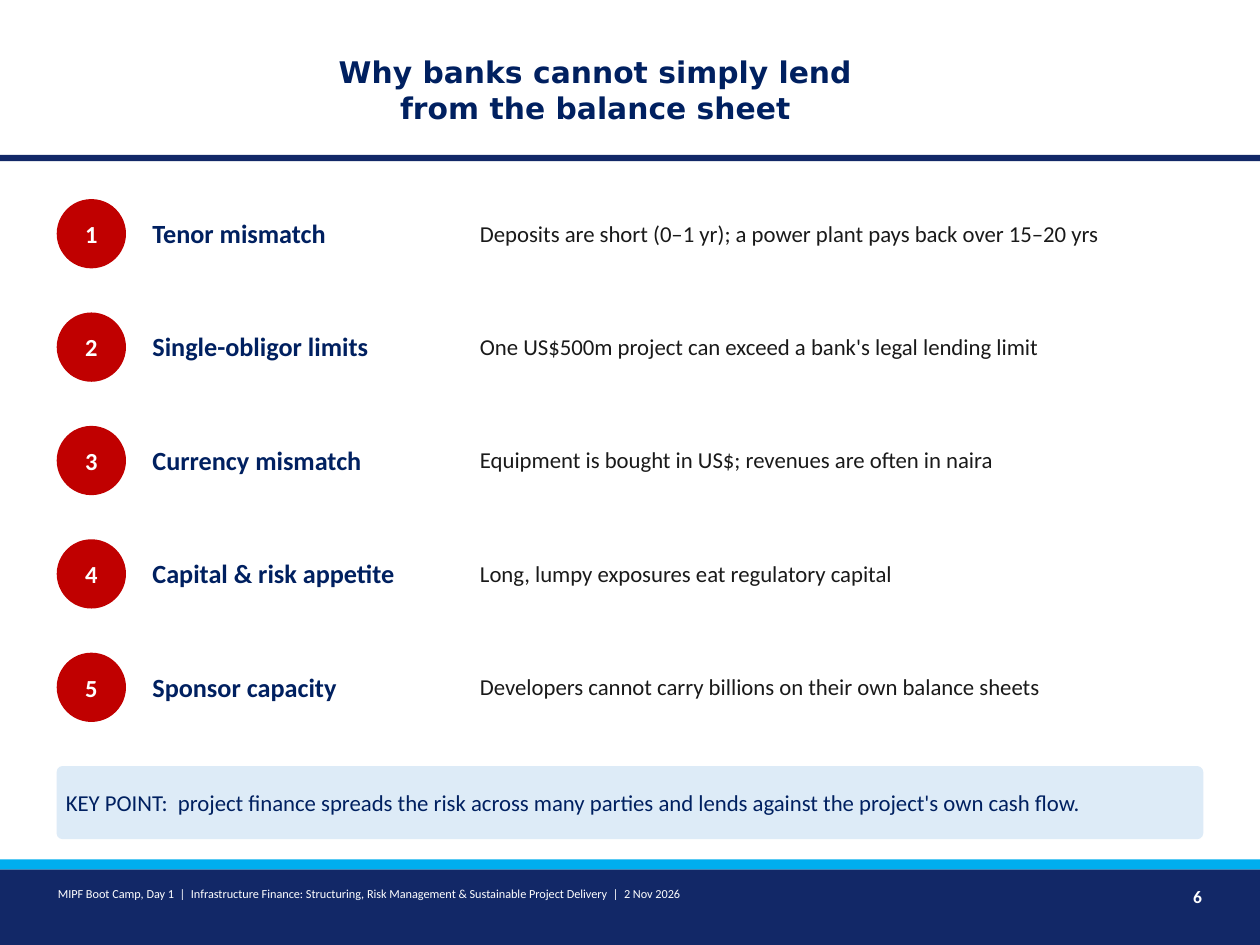
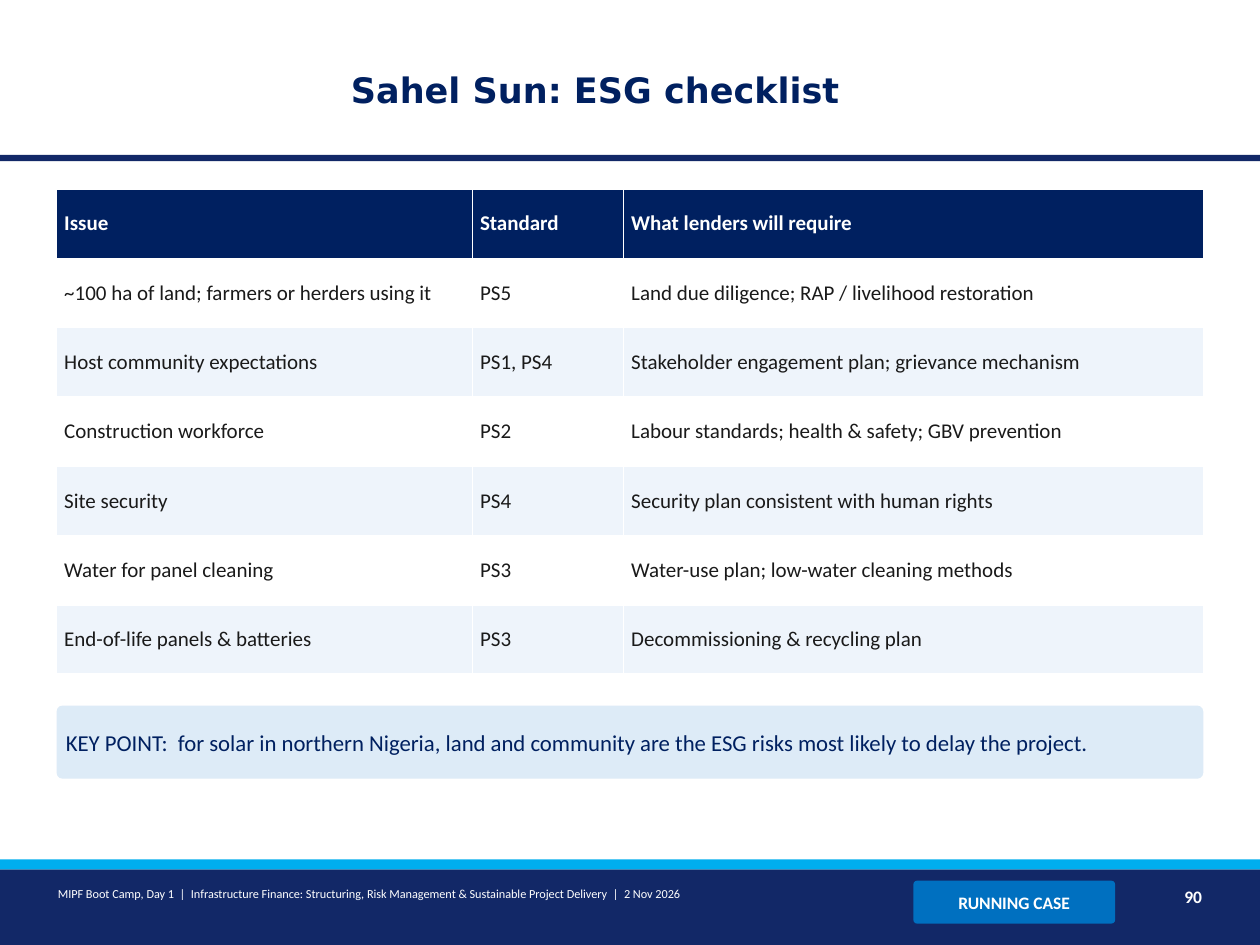
"""Builds two slides of a project finance boot camp deck."""
from pptx import Presentation
from pptx.dml.color import RGBColor
from pptx.enum.shapes import MSO_SHAPE
from pptx.enum.text import MSO_ANCHOR, PP_ALIGN
from pptx.util import Emu, Pt

RECTANGLE, ROUNDED, OVAL = MSO_SHAPE.RECTANGLE, MSO_SHAPE.ROUNDED_RECTANGLE, MSO_SHAPE.OVAL
TOP, MIDDLE = MSO_ANCHOR.TOP, MSO_ANCHOR.MIDDLE
LEFT, CENTER, RIGHT = PP_ALIGN.LEFT, PP_ALIGN.CENTER, PP_ALIGN.RIGHT

NAVY = RGBColor(0x00, 0x20, 0x60)
BAND_NAVY = RGBColor(0x12, 0x28, 0x67)
CYAN = RGBColor(0x00, 0xAE, 0xEF)
BLUE = RGBColor(0x00, 0x70, 0xC0)
RED = RGBColor(0xC0, 0x00, 0x00)
PALE_BLUE = RGBColor(0xDD, 0xEB, 0xF7)
ROW_TINT = RGBColor(0xEE, 0xF4, 0xFB)
INK = RGBColor(0x1A, 0x1A, 0x1A)
WHITE = RGBColor(0xFF, 0xFF, 0xFF)

BODY_FONT, TITLE_FONT = "Calibri", "DejaVu Sans"
EMU_PER_PX = 9144
SLIDE_WIDTH, SLIDE_HEIGHT = 1000, 750
MARGIN, CONTENT_WIDTH = 45, 910
FOOTER = ["MIPF Boot Camp, Day 1", "|",
          "Infrastructure Finance: Structuring, Risk Management & Sustainable Project Delivery",
          "|", "2 Nov 2026"]

REASONS = [
    ("Tenor mismatch", "Deposits are short (0–1 yr); a power plant pays back over 15–20 yrs"),
    ("Single-obligor limits", "One US$500m project can exceed a bank's legal lending limit"),
    ("Currency mismatch", "Equipment is bought in US$; revenues are often in naira"),
    ("Capital & risk appetite", "Long, lumpy exposures eat regulatory capital"),
    ("Sponsor capacity", "Developers cannot carry billions on their own balance sheets"),
]
CHECKLIST = [
    ("Issue", "Standard", "What lenders will require"),
    ("~100 ha of land; farmers or herders using it", "PS5",
     "Land due diligence; RAP / livelihood restoration"),
    ("Host community expectations", "PS1, PS4", "Stakeholder engagement plan; grievance mechanism"),
    ("Construction workforce", "PS2", "Labour standards; health & safety; GBV prevention"),
    ("Site security", "PS4", "Security plan consistent with human rights"),
    ("Water for panel cleaning", "PS3", "Water-use plan; low-water cleaning methods"),
    ("End-of-life panels & batteries", "PS3", "Decommissioning & recycling plan"),
]


def px(length):
    """Convert px to EMU."""
    return Emu(length * EMU_PER_PX)


class Deck:
    """Holds the shared style and the current slide."""

    def __init__(self):
        """Start an empty presentation."""
        self.presentation = Presentation()
        self.presentation.slide_width = px(SLIDE_WIDTH)
        self.presentation.slide_height = px(SLIDE_HEIGHT)
        self.slide = None

    def add_runs(self, frame, parts, size, color, bold=False, align=LEFT, font=BODY_FONT):
        """Add the parts as runs, with a widened space between them."""
        paragraph = frame.paragraphs[0]
        paragraph.alignment = align
        for index, part in enumerate(parts):
            for text in ([" ", part] if index else [part]):
                run = paragraph.add_run()
                run.text = text
                run.font.name = font
                run.font.size = Pt(size)
                run.font.bold = bold
                run.font.color.rgb = color
                if text == " ":
                    run._r.get_or_add_rPr().set("spc", str(size * 23))

    def inset(self, holder):
        """Apply the narrow inner margins to a text frame or cell."""
        holder.margin_left = holder.margin_right = px(6)
        holder.margin_top = holder.margin_bottom = px(3)

    def text(self, box, parts, size, color, anchor=MIDDLE, **style):
        """Add a wrapped text box."""
        frame = self.slide.shapes.add_textbox(*map(px, box)).text_frame
        frame.word_wrap = True
        frame.vertical_anchor = anchor
        self.inset(frame)
        self.add_runs(frame, parts, size, color, **style)

    def shape(self, kind, box, fill, parts=(), size=10, color=WHITE, **style):
        """Add a filled preset shape, with text if there is any."""
        shape = self.slide.shapes.add_shape(kind, *map(px, box))
        shape.shadow.inherit = False
        shape.fill.solid()
        shape.fill.fore_color.rgb = fill
        shape.line.fill.background()
        if kind == ROUNDED:
            shape.adjustments[0] = 0.08
        if parts:
            frame = shape.text_frame
            frame.word_wrap = True
            frame.vertical_anchor = MIDDLE
            self.inset(frame)
            self.add_runs(frame, parts, size, color, **style)

    def new_slide(self, title, title_size, number):
        """Add a slide with its title, bands and footer."""
        self.slide = self.presentation.slides.add_slide(self.presentation.slide_layouts[6])
        for top, height, fill in ((123, 5, BAND_NAVY), (690, 60, BAND_NAVY), (682, 8, CYAN)):
            self.shape(RECTANGLE, (0, top, SLIDE_WIDTH, height), fill)
        self.text((230, 22, 485, 98), [title], title_size, NAVY,
                  bold=True, align=CENTER, font=TITLE_FONT)
        self.text((40, 700, 680, 35), FOOTER, 7, WHITE, anchor=TOP)
        self.text((900, 700, 60, 35), [str(number)], 10, WHITE, anchor=TOP, bold=True, align=RIGHT)

    def key_point(self, top, message):
        """Add the key point bar."""
        self.shape(ROUNDED, (MARGIN, top, CONTENT_WIDTH, 58), PALE_BLUE,
                   ["KEY POINT:", message], 13, NAVY)

    def numbered_row(self, number, top, heading, detail):
        """Add a number disc with a heading and its detail."""
        self.shape(OVAL, (MARGIN, top + 8, 55, 55), RED, [str(number)], 14, bold=True, align=CENTER)
        self.text((115, top, 260, 70), [heading], 15, NAVY, bold=True)
        self.text((375, top, 580, 70), [detail], 13, INK)

    def table(self, top, widths, row_height, rows):
        """Add a table with a dark header and tinted alternate rows."""
        box = (MARGIN, top, sum(widths), row_height * len(rows))
        table = self.slide.shapes.add_table(len(rows), len(widths), *map(px, box)).table
        table.horz_banding = False
        for column, width in zip(table.columns, widths):
            column.width = px(width)
        for row_index, row in enumerate(rows):
            header = row_index == 0
            fill = NAVY if header else WHITE if row_index % 2 else ROW_TINT
            for column_index, text in enumerate(row):
                cell = table.cell(row_index, column_index)
                cell.fill.solid()
                cell.fill.fore_color.rgb = fill
                cell.vertical_anchor = MIDDLE
                self.inset(cell)
                self.add_runs(cell.text_frame, [text], 12, WHITE if header else INK, bold=header)


def main():
    """Build and save both slides."""
    deck = Deck()

    deck.new_slide("Why banks cannot simply lend from the balance sheet", 17, 6)
    for index, (heading, detail) in enumerate(REASONS):
        deck.numbered_row(index + 1, 150 + 90 * index, heading, detail)
    deck.key_point(608, "project finance spreads the risk across many parties "
                        "and lends against the project's own cash flow.")

    deck.new_slide("Sahel Sun: ESG checklist", 20, 90)
    deck.shape(ROUNDED, (725, 699, 160, 34), BLUE, ["RUNNING CASE"], bold=True, align=CENTER)
    deck.table(150, (330, 120, 460), 55, CHECKLIST)
    deck.key_point(560, "for solar in northern Nigeria, land and community "
                        "are the ESG risks most likely to delay the project.")

    deck.presentation.save("out.pptx")


if __name__ == "__main__":
    main()
